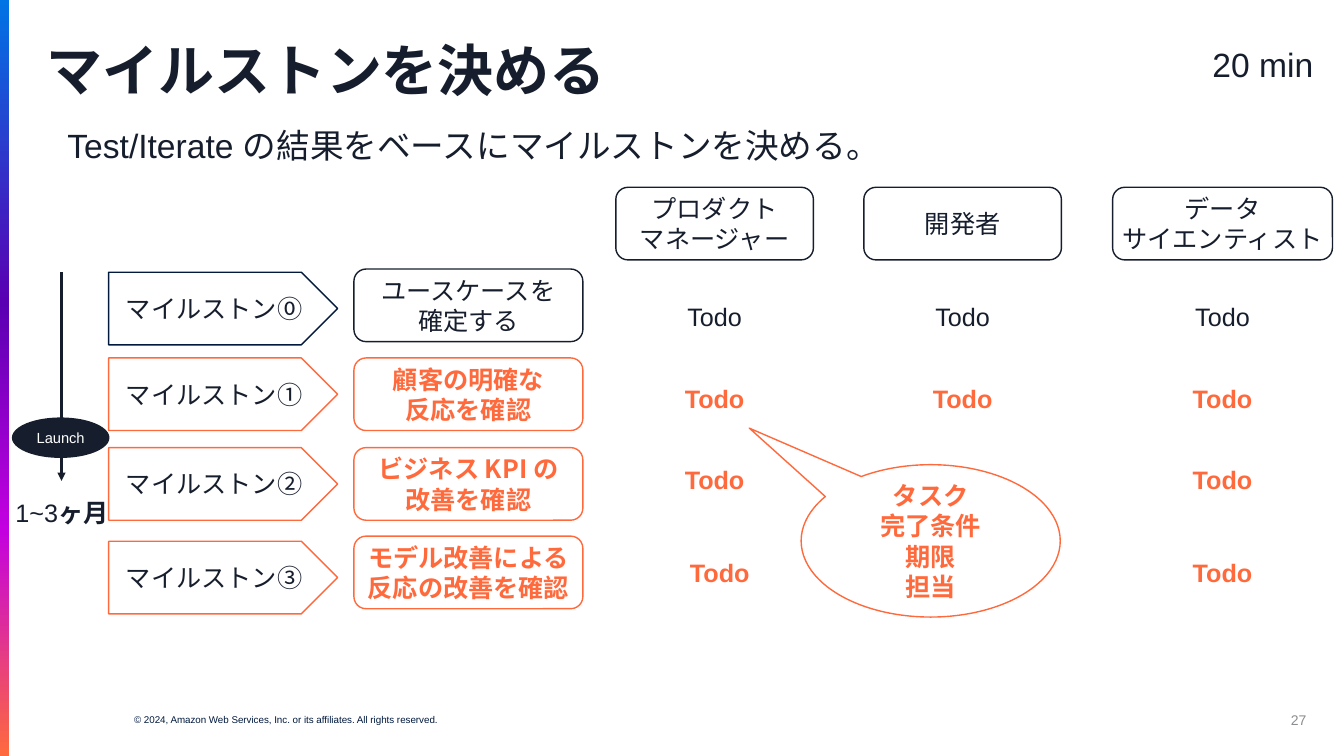
from copy import deepcopy
from dataclasses import dataclass

from lxml.etree import SubElement
from pptx import Presentation
from pptx.dml.color import RGBColor
from pptx.enum.shapes import MSO_CONNECTOR, MSO_SHAPE
from pptx.enum.text import MSO_ANCHOR, PP_ALIGN
from pptx.oxml.ns import qn
from pptx.util import Cm, Pt


@dataclass(frozen=True)
class Theme:
    """Colours, fonts and type sizes of the slide."""

    ink: str = "161E2D"
    navy: str = "00193D"
    accent: str = "FF6A3D"
    grey: str = "8C8D8F"
    white: str = "FFFFFF"
    stripe: tuple = ((0, "0073E5"), (0.4, "5900B2"), (0.7, "C300E0"), (1, "FF6A3D"))
    latin: str = "Arial"
    japanese: str = "Noto Sans CJK JP"
    title: float = 40
    lead: float = 24
    body: float = 18
    badge: float = 10.5
    number: float = 10
    legal: float = 7


THEME = Theme()
COLUMNS = [
    (15.52, 4.98, ["プロダクト", "マネージャー"]),
    (21.77, 4.98, ["開発者"]),
    (28.04, 5.54, ["データ", "サイエンティスト"]),
]
MILESTONES = [
    ("マイルストン⓪", 6.86, "ユースケースを\n確定する", 6.78),
    ("マイルストン①", 9.02, "顧客の明確な\n反応を確認", 9.02),
    ("マイルストン②", 11.28, "ビジネス KPI の\n改善を確認", 11.28),
    ("マイルストン③", 13.64, "モデル改善による反応の改善を確認", 13.51),
]
TODO_ROWS = [
    (7.47, (15.52, 21.77, 28.32)),
    (9.53, (15.52, 21.77, 28.32)),
    (11.58, (15.52, 28.32)),
    (13.92, (15.65, 28.32)),
]


def apply_format(target, values):
    """Set every named attribute on the target."""
    for name, value in values.items():
        setattr(target, name, value)


def format_span(span, size, color, bold, latin):
    """Give a run its size, weight, colour and fonts."""
    apply_format(span.font, {"size": Pt(size), "bold": bold, "name": latin})
    span.font.color.rgb = RGBColor.from_string(color)
    SubElement(span.font._element, qn("a:ea"), typeface=THEME.japanese)


def write(box, lines, size=THEME.body, color=THEME.ink, bold=False, latin=THEME.latin,
          align=PP_ALIGN.CENTER, anchor=MSO_ANCHOR.TOP, side=0, edge=0.13, **spacing):
    """Fill a box with one formatted paragraph per line."""
    frame = box.text_frame
    apply_format(frame, {
        "word_wrap": True, "vertical_anchor": anchor,
        "margin_left": Cm(side), "margin_right": Cm(side),
        "margin_top": Cm(edge), "margin_bottom": Cm(edge),
    })
    for index, line in enumerate(lines):
        para = frame.add_paragraph() if index else frame.paragraphs[0]
        para.text = line
        apply_format(para, {"alignment": align, **spacing})
        for span in para.runs:
            format_span(span, size, color, bold, latin)


def add_text(page, place, lines, **style):
    """Add a text box at left, top, width, height."""
    box = page.shapes.add_textbox(*map(Cm, place))
    write(box, lines, **style)
    return box


def add_box(page, kind, place, lines, line=None, fill=None, **style):
    """Add a preset shape with centred text."""
    box = page.shapes.add_shape(kind, *map(Cm, place))
    box.shadow.inherit = False
    if fill:
        box.fill.solid()
        box.fill.fore_color.rgb = RGBColor.from_string(fill)
    else:
        box.fill.background()
    if line:
        box.line.color.rgb = RGBColor.from_string(line)
        box.line.width = Pt(1)
    else:
        box.line.fill.background()
    write(box, lines, **{"latin": THEME.japanese, "anchor": MSO_ANCHOR.MIDDLE,
                         "side": 0.13, **style})
    return box


def add_stripe(page):
    """Add the gradient stripe along the left edge."""
    stripe = add_box(page, MSO_SHAPE.RECTANGLE, (0, 0, 0.23, 19.05), [])
    stripe.fill.gradient()
    stripe.fill.gradient_angle = 270
    stops = stripe.element.spPr.find(".//" + qn("a:gsLst"))
    while len(stops) < len(THEME.stripe):
        stops.append(deepcopy(stops[0]))
    for stop, (position, color) in zip(stripe.fill.gradient_stops, THEME.stripe):
        stop.color.rgb = RGBColor.from_string(color)
        stop.position = position


def add_arrow(page, start, end):
    """Add a straight arrow between two points."""
    arrow = page.shapes.add_connector(MSO_CONNECTOR.STRAIGHT, *map(Cm, start + end))
    arrow.line.color.rgb = RGBColor.from_string(THEME.ink)
    arrow.line.width = Pt(1.5)
    SubElement(arrow.line._get_or_add_ln(), qn("a:tailEnd"), type="triangle")
    SubElement(arrow.element.spPr, qn("a:effectLst"))


def add_frame(page):
    """Add the title, lead sentence, duration and footer."""
    add_stripe(page)
    left = PP_ALIGN.LEFT
    add_text(page, (3.38, 17.98, 13.56, 0.3),
             ["© 2024, Amazon Web Services, Inc. or its affiliates. All rights reserved."],
             size=THEME.legal, color=THEME.navy, align=left, edge=0)
    add_text(page, (1.17, 0.97, 31.72, 1.8), ["マイルストンを決める"],
             size=THEME.title, bold=True, align=left, line_spacing=0.9)
    add_text(page, (1.7, 3.02, 31.62, 1.27),
             ["Test/Iterate の結果をベースにマイルストンを決める。"],
             size=THEME.lead, align=left)
    add_text(page, (30.07, 0.97, 3.51, 1.27), ["20 min"], size=THEME.lead)
    add_text(page, (25.3, 17.63, 7.62, 1.02), ["27"], size=THEME.number,
             color=THEME.grey, align=PP_ALIGN.RIGHT, anchor=MSO_ANCHOR.MIDDLE, edge=0)


def add_plan(page):
    """Add the role headings, milestones, goals and tasks."""
    for left, width, role in COLUMNS:
        add_box(page, MSO_SHAPE.ROUNDED_RECTANGLE, (left, 4.72, width, 1.83), role,
                line=THEME.ink)
    for index, (name, name_top, goal, goal_top) in enumerate(MILESTONES):
        later = index > 0
        color = THEME.accent if later else THEME.ink
        add_box(page, MSO_SHAPE.PENTAGON, (2.74, name_top, 5.77, 1.83), [name],
                line=color if later else THEME.navy)
        add_box(page, MSO_SHAPE.ROUNDED_RECTANGLE, (8.92, goal_top, 5.77, 1.83), [goal],
                line=color, color=color, bold=later)
        top, lefts = TODO_ROWS[index]
        for left in lefts:
            add_text(page, (left, top, 4.98, 1.02), ["Todo"], color=color, bold=later)


def add_callout(page):
    """Add the balloon that lists what each task holds."""
    balloon = add_box(page, MSO_SHAPE.OVAL_CALLOUT, (20.19, 11.71, 6.53, 3.84),
                      ["タスク", "完了条件", "期限", "担当"], line=THEME.accent,
                      fill=THEME.white, color=THEME.accent, bold=True)
    balloon.adjustments[0] = -0.7
    balloon.adjustments[1] = -0.74


def add_timeline(page):
    """Add the launch arrow with its badge and duration."""
    add_arrow(page, (1.55, 6.86), (1.55, 12.12))
    duration = add_text(page, (0, 12.4, 3.12, 1.02), ["1~3"])
    span = duration.text_frame.paragraphs[0].add_run()
    span.text = "ヶ月"
    format_span(span, THEME.body, THEME.ink, True, THEME.japanese)
    add_box(page, MSO_SHAPE.OVAL, (0.3, 10.52, 2.46, 1.02), ["Launch"], fill=THEME.ink,
            color=THEME.white, size=THEME.badge, latin=THEME.latin)


def main():
    """Build the slide and save it."""
    deck = Presentation()
    apply_format(deck, {"slide_width": Cm(33.87), "slide_height": Cm(19.05)})
    page = deck.slides.add_slide(deck.slide_layouts[6])
    add_frame(page)
    add_plan(page)
    add_callout(page)
    add_timeline(page)
    deck.save("out.pptx")


if __name__ == "__main__":
    main()
